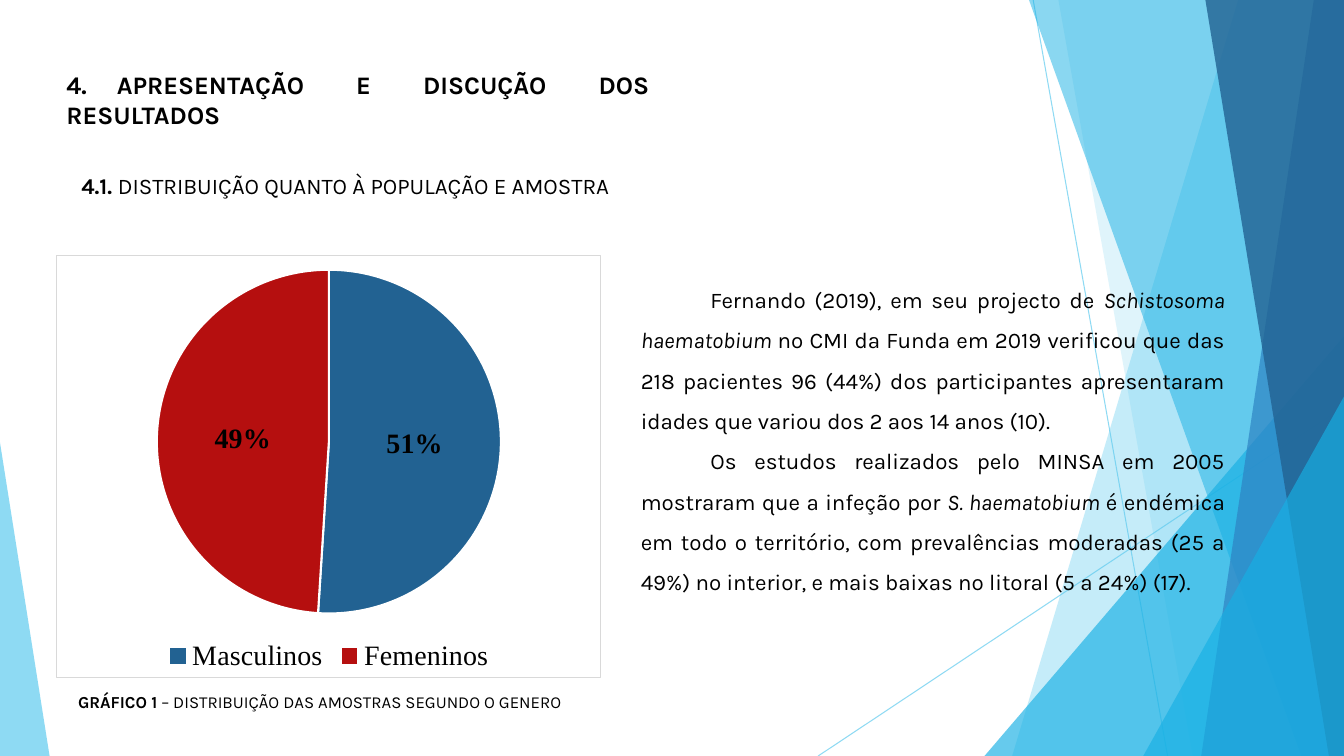
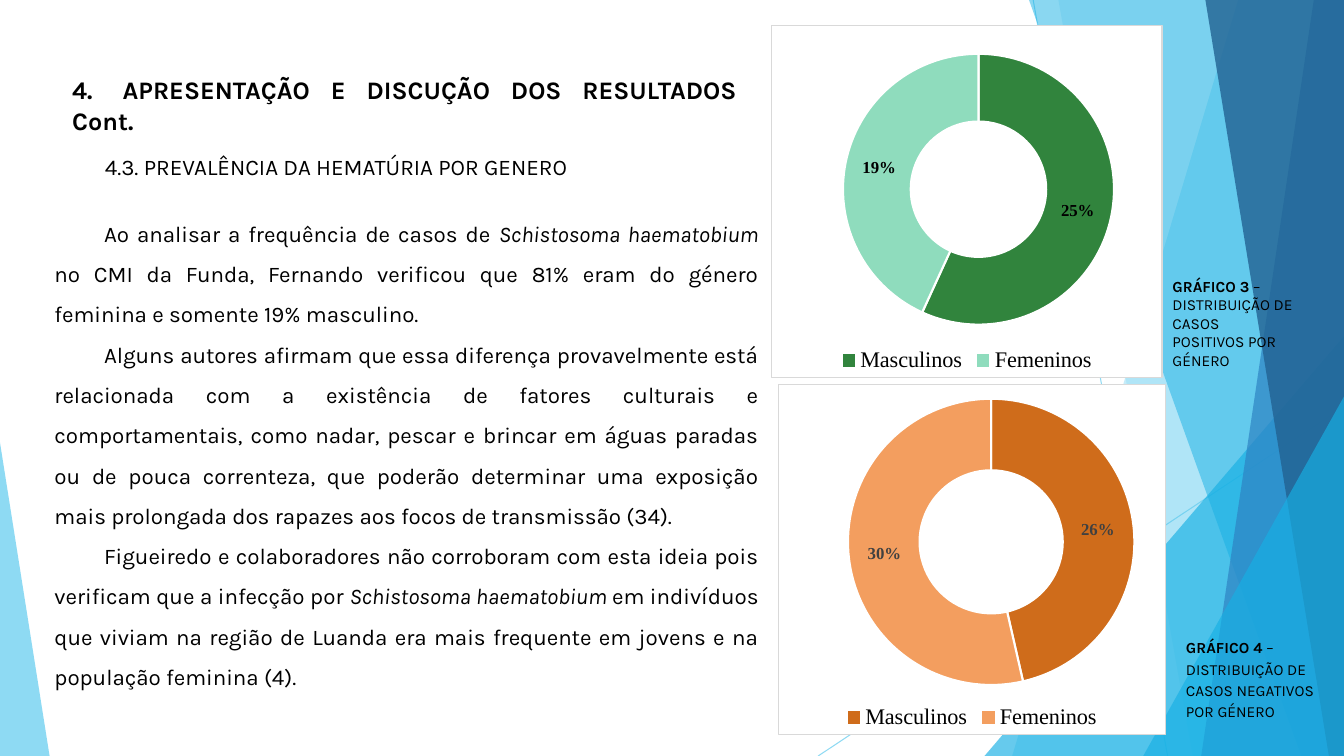
from dataclasses import dataclass
from typing import Any, NamedTuple

from lxml.etree import SubElement
from pptx import Presentation
from pptx.chart.data import CategoryChartData
from pptx.dml.color import RGBColor
from pptx.enum.chart import XL_CHART_TYPE, XL_LABEL_POSITION, XL_LEGEND_POSITION
from pptx.enum.shapes import MSO_CONNECTOR, MSO_SHAPE
from pptx.enum.text import MSO_ANCHOR, MSO_AUTO_SIZE, PP_ALIGN
from pptx.oxml import parse_xml
from pptx.oxml.ns import nsdecls, qn
from pptx.util import Inches, Pt

SLIDE_WIDTH, SLIDE_HEIGHT = Inches(13.33), Inches(7.5)
COLUMNS, ROWS = 160, 90

BLACK = RGBColor(0x00, 0x00, 0x00)
WHITE = RGBColor(0xFF, 0xFF, 0xFF)
GRAY = RGBColor(0x40, 0x40, 0x40)
FRAME = RGBColor(0xD9, 0xD9, 0xD9)
SKY = RGBColor(0x5F, 0xCB, 0xEF)
CYAN = RGBColor(0x17, 0xB0, 0xE4)
BLUE = RGBColor(0x2E, 0x83, 0xC3)
NAVY = RGBColor(0x22, 0x62, 0x92)
RED = RGBColor(0xB5, 0x0F, 0x0F)
GREEN = RGBColor(0x31, 0x84, 0x3D)
MINT = RGBColor(0x8F, 0xDC, 0xBD)
ORANGE = RGBColor(0xCF, 0x6C, 0x1B)
PEACH = RGBColor(0xF3, 0x9E, 0x5F)

TEXT_FONT, CHART_FONT = "Karla", "Times New Roman"
GENDERS = ("Masculinos", "Femeninos")


class Box(NamedTuple):
    column: float
    row: float
    columns: float
    rows: float


class Ray(NamedTuple):
    start: tuple[float, float]
    end: tuple[float, float]


class Band(NamedTuple):
    top_column: float
    bottom_column: float
    color: RGBColor
    opacity: int


class Wedge(NamedTuple):
    box: Box
    apex: int
    color: RGBColor
    opacity: int


class Run(NamedTuple):
    text: str
    bold: bool = False
    italic: bool = False


@dataclass(frozen=True)
class Paragraph:
    runs: tuple[Run, ...]
    align: Any = PP_ALIGN.JUSTIFY
    margin: float = 0
    indent: float = 0
    tab: float = 0
    spacing: float = 1.0


@dataclass(frozen=True)
class TextBlock:
    box: Box
    size: float
    paragraphs: tuple[Paragraph, ...]


@dataclass(frozen=True)
class GenderChart:
    box: Box
    kind: Any
    shares: tuple[float, float]
    colors: tuple[RGBColor, RGBColor]
    legend_size: float
    label_size: float
    label_color: RGBColor = BLACK
    plot: tuple[float, ...] = ()


@dataclass(frozen=True)
class Page:
    title: TextBlock
    texts: tuple[TextBlock, ...]
    charts: tuple[GenderChart, ...]


RAYS = (Ray((123, 0), (139, 90)), Ray((160, 48.4), (97.4, 90)))
DECORATION = (
    Band(147.4, 120.5, SKY, 36),
    Band(126, 142, SKY, 20),
    Wedge(Box(117.2, 40, 42.8, 50), 1, CYAN, 66),
    Band(122.5, 154.9, CYAN, 50),
    Band(156.4, 143, BLUE, 70),
    Band(143.5, 158.2, NAVY, 80),
    Wedge(Box(136.1, 47.2, 23.9, 42.8), 1, CYAN, 66),
    Wedge(Box(0, 52.7, 5.9, 37.3), 0, SKY, 70),
)


def across(columns: float) -> int:
    return round(SLIDE_WIDTH * columns / COLUMNS)


def down(rows: float) -> int:
    return round(SLIDE_HEIGHT * rows / ROWS)


def place(box: Box) -> tuple[int, int, int, int]:
    return across(box.column), down(box.row), across(box.columns), down(box.rows)


def apply(target: Any, values: dict[str, Any]) -> None:
    for name, value in values.items():
        setattr(target, name, value)


def format_font(font: Any, color: RGBColor, **values: Any) -> None:
    apply(font, values)
    font.color.rgb = color


def set_opacity(element: Any, percent: int) -> None:
    color = element.find(".//" + qn("a:srgbClr"))
    SubElement(color, qn("a:alpha"), val=str(percent * 1000))


def paint(shape: Any, color: RGBColor, opacity: int) -> None:
    shape.shadow.inherit = False
    shape.fill.solid()
    shape.fill.fore_color.rgb = color
    shape.line.fill.background()
    set_opacity(shape.element.spPr, opacity)


def draw_ray(shapes: Any, ray: Ray) -> None:
    (x1, y1), (x2, y2) = ray
    line = shapes.add_connector(
        MSO_CONNECTOR.STRAIGHT, across(x1), down(y1), across(x2), down(y2)
    )
    line.line.color.rgb = SKY
    line.line.width = Pt(0.75)
    set_opacity(line.element.spPr, 70)
    SubElement(line.element.spPr, qn("a:effectLst"))


def draw_band(shapes: Any, band: Band) -> None:
    outline = shapes.build_freeform(across(band.top_column), 0)
    corners = ((COLUMNS, 0), (COLUMNS, ROWS), (band.bottom_column, ROWS))
    outline.add_line_segments([(across(x), down(y)) for x, y in corners])
    paint(outline.convert_to_shape(), band.color, band.opacity)


def draw_wedge(shapes: Any, wedge: Wedge) -> None:
    triangle = shapes.add_shape(MSO_SHAPE.ISOSCELES_TRIANGLE, *place(wedge.box))
    triangle.adjustments[0] = wedge.apex
    paint(triangle, wedge.color, wedge.opacity)


def decorate_master(prs: Any, slide: Any) -> None:
    group = slide.shapes.add_group_shape()
    for ray in RAYS:
        draw_ray(group.shapes, ray)
    for part in DECORATION:
        draw = draw_band if isinstance(part, Band) else draw_wedge
        draw(group.shapes, part)
    for number, properties in enumerate(group.element.iter(qn("p:cNvPr")), 100):
        properties.set("id", str(number))
    prs.slide_master.shapes.element.insert(2, group.element)


def write(shape: Any, block: TextBlock) -> None:
    frame = shape.text_frame
    apply(frame, {
        "word_wrap": True,
        "auto_size": MSO_AUTO_SIZE.SHAPE_TO_FIT_TEXT,
        "vertical_anchor": MSO_ANCHOR.TOP,
    })
    for index, content in enumerate(block.paragraphs):
        paragraph = frame.add_paragraph() if index else frame.paragraphs[0]
        apply(paragraph, {
            "alignment": content.align,
            "line_spacing": content.spacing,
            "space_before": Pt(0),
            "space_after": Pt(0),
        })
        properties = paragraph._p.get_or_add_pPr()
        properties.set("marL", str(across(content.margin)))
        properties.set("indent", str(across(content.indent)))
        if content.tab:
            stops = SubElement(properties, qn("a:tabLst"))
            SubElement(stops, qn("a:tab"), pos=str(across(content.tab)), algn="l")
        for piece in content.runs:
            run = paragraph.add_run()
            run.text = piece.text
            format_font(run.font, BLACK, name=TEXT_FONT, size=Pt(block.size),
                        bold=piece.bold, italic=piece.italic)


def draw_chart(slide: Any, content: GenderChart) -> None:
    data = CategoryChartData(number_format="0%")
    data.categories = GENDERS
    data.add_series("Series 1", content.shares)
    chart = slide.shapes.add_chart(content.kind, *place(content.box), data).chart
    apply(chart, {"has_title": False, "has_legend": True})
    format_font(chart.font, BLACK, name=CHART_FONT, size=Pt(content.label_size))
    apply(chart.legend, {
        "position": XL_LEGEND_POSITION.BOTTOM, "include_in_layout": False,
    })
    format_font(chart.legend.font, BLACK, name=CHART_FONT, size=Pt(content.legend_size))
    plot = chart.plots[0]
    plot.vary_by_categories = True
    series = plot.series[0]
    for index, color in enumerate(content.colors):
        slice_format = series.points[index].format
        slice_format.fill.solid()
        slice_format.fill.fore_color.rgb = color
        slice_format.line.color.rgb = WHITE
        slice_format.line.width = Pt(1.5)
    labels = series.data_labels
    apply(labels, {
        "show_value": True, "show_percentage": False,
        "number_format": "0%", "number_format_is_linked": False,
    })
    format_font(labels.font, content.label_color, name=CHART_FONT,
                size=Pt(content.label_size), bold=True)
    if content.kind == XL_CHART_TYPE.PIE:
        labels.position = XL_LABEL_POSITION.CENTER
    for hole in chart.element.iter(qn("c:holeSize")):
        hole.set("val", "75")
    if content.plot:
        set_plot_area(chart, content.plot)
    chart.element.find(qn("c:chart")).addnext(parse_xml(
        f'<c:spPr {nsdecls("c", "a")}><a:solidFill><a:srgbClr val="{WHITE}"/></a:solidFill>'
        f'<a:ln w="{Pt(0.75)}"><a:solidFill><a:srgbClr val="{FRAME}"/></a:solidFill></a:ln></c:spPr>'
    ))


def set_plot_area(chart: Any, area: tuple[float, ...]) -> None:
    plot_area = chart.element.find(".//" + qn("c:plotArea"))
    for previous in plot_area.findall(qn("c:layout")):
        plot_area.remove(previous)
    values = {"layoutTarget": "inner", "xMode": "edge", "yMode": "edge"}
    values.update(zip("xywh", area))
    layout = parse_xml(f'<c:layout {nsdecls("c")}><c:manualLayout/></c:layout>')
    for name, value in values.items():
        SubElement(layout[0], qn(f"c:{name}"), val=str(value))
    plot_area.insert(0, layout)


def title(box: Box, text: str, tab: float) -> TextBlock:
    return TextBlock(box, 18, (Paragraph((Run(f"4.\t{text}", bold=True),), tab=tab),))


def body(box: Box, indent: float, *passages: tuple[Run, ...]) -> TextBlock:
    return TextBlock(box, 16, tuple(
        Paragraph(runs, indent=indent, spacing=1.5) for runs in passages
    ))


def caption(box: Box, number: int, text: str, size: float = 11, **layout: Any) -> TextBlock:
    runs = (Run(f"GRÁFICO {number}", bold=True), Run(f" – DISTRIBUIÇÃO {text}"))
    return TextBlock(box, size, (Paragraph(runs, **layout),))


PAGES = (
    Page(
        title(Box(6.7, 7.6, 71.8, 4.8), "APRESENTAÇÃO E DISCUÇÃO DOS RESULTADOS", 11.3),
        (
            TextBlock(Box(8.5, 19.9, 68, 4.4), 16, (Paragraph((
                Run("4.1. ", bold=True), Run("DISTRIBUIÇÃO QUANTO À POPULAÇÃO E AMOSTRA"))),)),
            body(Box(75.1, 31.9, 71.9, 44.9), 8.3,
                 (Run("Fernando (2019), em seu projecto de "),
                  Run("Schistosoma haematobium ", italic=True),
                  Run("no CMI da Funda em 2019 verificou que das 218 pacientes 96 (44%) dos participantes apresentaram idades que variou dos 2 aos 14 anos (10).")),
                 (Run("Os estudos realizados pelo MINSA em 2005 mostraram que a infeção por "),
                  Run("S. haematobium ", italic=True),
                  Run("é endémica em todo o território, com prevalências moderadas (25 a 49%) no interior, e mais baixas no litoral (5 a 24%) (17)."))),
            caption(Box(2.2, 80.6, 66.6, 4.8), 1, "DAS AMOSTRAS SEGUNDO O GENERO",
                    12, indent=5.9, spacing=1.5),
        ),
        (GenderChart(Box(6.7, 30.4, 64.9, 50.3), XL_CHART_TYPE.PIE, (0.51, 0.49),
                     (NAVY, RED), 20, 20),),
    ),
    Page(
        title(Box(7.4, 8.3, 81.5, 4.8), "APRESENTAÇÃO E DISCUÇÃO DOS RESULTADOS Cont.", 4.05),
        (
            TextBlock(Box(5.3, 16, 64.7, 6), 16, (Paragraph((
                Run("4.3. PREVALÊNCIA DA HEMATÚRIA POR GENERO"),), margin=6, spacing=1.5),)),
            caption(Box(138.4, 32.4, 16.9, 10.1), 3, "DE CASOS POSITIVOS POR GÉNERO",
                    align=PP_ALIGN.LEFT),
            body(Box(5.3, 24, 86.2, 59.4), 5.9,
                 (Run("Ao analisar a frequência de casos de "),
                  Run("Schistosoma haematobium ", italic=True),
                  Run("no CMI da Funda, Fernando verificou que 81% eram do género feminina e somente 19% masculino.")),
                 (Run("Alguns autores afirmam que essa diferença provavelmente está relacionada com a existência de fatores culturais e comportamentais, como nadar, pescar e brincar em águas paradas ou de pouca correnteza, que poderão determinar uma exposição mais prolongada dos rapazes aos focos de transmissão (34)."),),
                 (Run("Figueiredo e colaboradores não corroboram com esta ideia pois verificam que a infecção por "),
                  Run("Schistosoma haematobium ", italic=True),
                  Run("em indivíduos que viviam na região de Luanda era mais frequente em jovens e na população feminina (4)."))),
            caption(Box(140, 75.1, 18.2, 11.4), 4, "DE CASOS NEGATIVOS POR GÉNERO",
                    align=PP_ALIGN.LEFT, spacing=1.15),
        ),
        (GenderChart(Box(91.8, 3, 46.6, 42), XL_CHART_TYPE.DOUGHNUT, (0.25, 0.19),
                     (GREEN, MINT), 16, 12, plot=(0.18, 0.08, 0.7, 0.77)),
         GenderChart(Box(92.6, 45.7, 46.2, 41.8), XL_CHART_TYPE.DOUGHNUT, (0.26, 0.3),
                     (ORANGE, PEACH), 16, 12, GRAY, (0.18, 0.04, 0.74, 0.82))),
    ),
)


def main() -> None:
    prs = Presentation()
    apply(prs, {"slide_width": SLIDE_WIDTH, "slide_height": SLIDE_HEIGHT})
    for index, page in enumerate(PAGES):
        slide = prs.slides.add_slide(prs.slide_layouts[5])
        if index == 0:
            decorate_master(prs, slide)
        heading = slide.shapes.title
        apply(heading, dict(zip(("left", "top", "width", "height"), place(page.title.box))))
        write(heading, page.title)
        for chart in page.charts:
            draw_chart(slide, chart)
        for block in page.texts:
            write(slide.shapes.add_textbox(*place(block.box)), block)
    prs.save("out.pptx")


if __name__ == "__main__":
    main()
